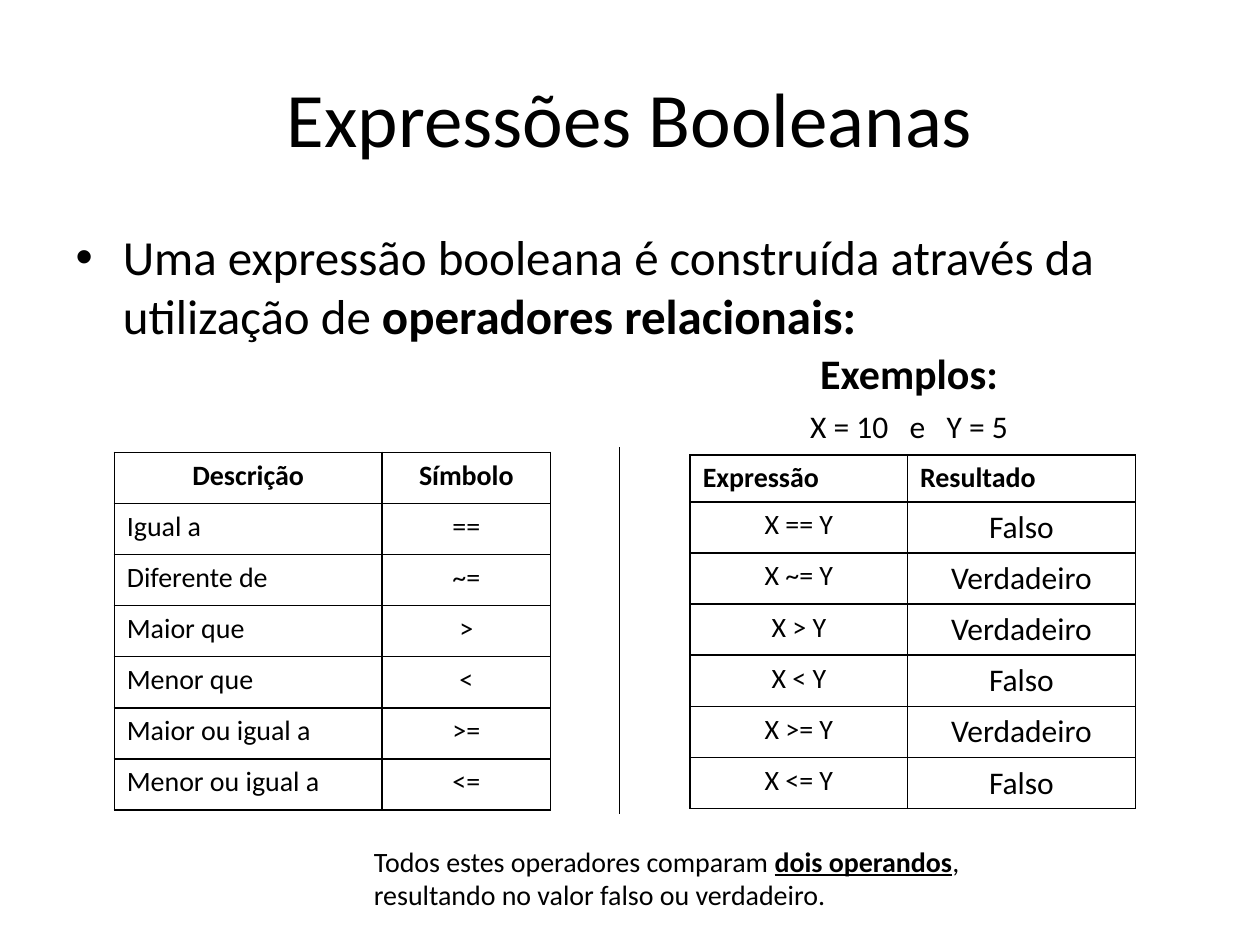
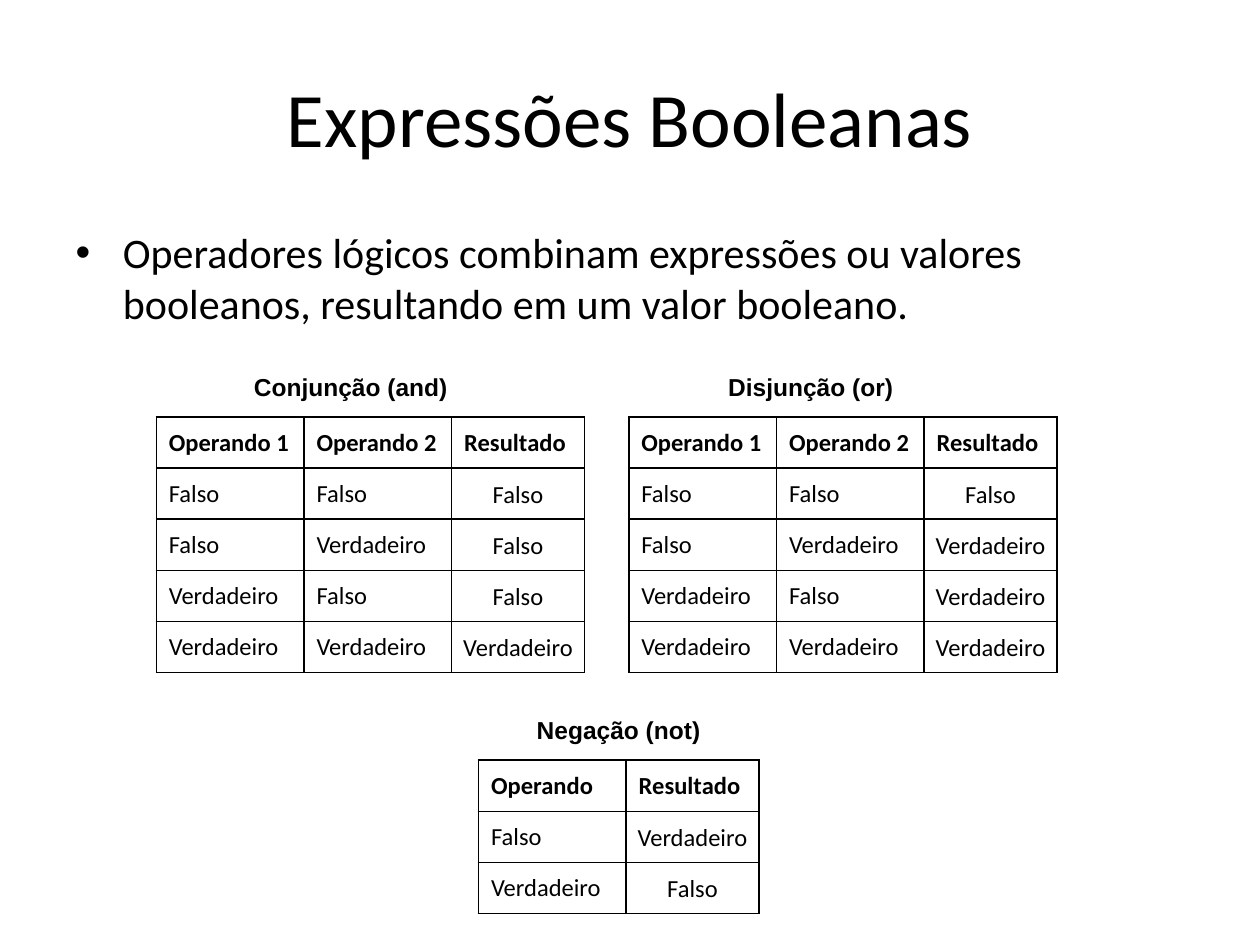
from dataclasses import dataclass, field
from itertools import product

from lxml import etree
from pptx import Presentation
from pptx.dml.color import RGBColor
from pptx.enum.shapes import MSO_CONNECTOR
from pptx.enum.text import MSO_ANCHOR, MSO_AUTO_SIZE, PP_ALIGN
from pptx.oxml.ns import qn
from pptx.util import Pt

LEFT, CENTER = PP_ALIGN.LEFT, PP_ALIGN.CENTER
TOP, MIDDLE = MSO_ANCHOR.TOP, MSO_ANCHOR.MIDDLE
NO_AUTOFIT = MSO_AUTO_SIZE.NONE
STRAIGHT = MSO_CONNECTOR.STRAIGHT

COLORS = {"ink": "000000"}
BODY_FONT, LABEL_FONT = "Calibri", "Arial"
TITLE = "Expressões Booleanas"
TITLE_AND_CONTENT = 1
ROW_HEIGHT = 29.2
LABEL_RISE = 29.5
INSET_X, INSET_Y = 14.4, 7.2
LINE_EMS = 1.22

FALSE, TRUE = "Falso", "Verdadeiro"
WORD_EMS = {FALSE: 2.08, TRUE: 4.53}
PAIRS = list(product((FALSE, TRUE), repeat=2))
OPERATORS = {
    "Igual a": "==",
    "Diferente de": "~=",
    "Maior que": ">",
    "Menor que": "<",
    "Maior ou igual a": ">=",
    "Menor ou igual a": "<=",
}


@dataclass
class Span:
    text: str
    size: float
    format: dict = field(default_factory=dict)
    font: str = BODY_FONT
    tracking: float = 0


@dataclass
class Line:
    spans: list[Span]
    align: PP_ALIGN | None = None
    space_before: float | None = None


@dataclass
class Grid:
    left: float
    top: float
    widths: list[float]
    header: list[str]
    rows: list[tuple[str, ...]]
    size: float
    aligns: list[PP_ALIGN]
    header_align: PP_ALIGN = LEFT
    anchor: MSO_ANCHOR = TOP
    header_height: float = ROW_HEIGHT


@dataclass
class TruthTable:
    label: str
    label_center: float
    label_width: float
    grid: Grid
    results: list[str]


def write(frame, lines: list[Line]) -> None:
    for index, line in enumerate(lines):
        paragraph = frame.add_paragraph() if index else frame.paragraphs[0]
        if line.align is not None:
            paragraph.alignment = line.align
        if line.space_before is not None:
            paragraph.space_before = Pt(line.space_before)
        for span in line.spans:
            run = paragraph.add_run()
            run.text = span.text
            settings = {"size": Pt(span.size), "name": span.font, **span.format}
            for attribute, value in settings.items():
                setattr(run.font, attribute, value)
            run.font.color.rgb = RGBColor.from_string(COLORS["ink"])
            if span.tracking:
                run.font._element.set("spc", str(round(span.tracking * 100)))


def add_text(slide, left: float, top: float, width: float, height: float,
             lines: list[Line], wrap: bool = True) -> None:
    box = slide.shapes.add_textbox(Pt(left), Pt(top), Pt(width), Pt(height))
    box.text_frame.word_wrap = wrap
    box.text_frame.auto_size = NO_AUTOFIT
    write(box.text_frame, lines)


def add_centered_word(slide, center: float, top: float, width: float, span: Span) -> None:
    height = span.size * LINE_EMS + INSET_Y
    add_text(slide, center - width / 2, top, width, height,
             [Line([span], CENTER)], wrap=False)


def add_borders(cell) -> None:
    properties = cell._tc.get_or_add_tcPr()
    for side in ("lnL", "lnR", "lnT", "lnB"):
        border = etree.SubElement(properties, qn(f"a:{side}"), w=str(Pt(1)))
        fill = etree.SubElement(border, qn("a:solidFill"))
        etree.SubElement(fill, qn("a:srgbClr"), val=COLORS["ink"])


def add_grid(slide, grid: Grid) -> None:
    """Draw a ruled table; cells missing at the end of a row stay empty."""
    heights = [grid.header_height] + [ROW_HEIGHT] * len(grid.rows)
    table = slide.shapes.add_table(
        len(heights), len(grid.widths), Pt(grid.left), Pt(grid.top),
        Pt(sum(grid.widths)), Pt(sum(heights))).table
    table.first_row = table.horz_banding = False
    for column, width in zip(table.columns, grid.widths):
        column.width = Pt(width)
    for row, height in zip(table.rows, heights):
        row.height = Pt(height)
    for cell in table.iter_cells():
        add_borders(cell)
        cell.fill.background()
        cell.vertical_anchor = grid.anchor
    for r, words in enumerate([grid.header, *grid.rows]):
        for c, word in enumerate(words):
            align = grid.aligns[c] if r else grid.header_align
            span = Span(word, grid.size, {"bold": r == 0})
            write(table.cell(r, c).text_frame, [Line([span], align)])


def add_results(slide, grid: Grid, results: list[str], size: float, drop: float) -> None:
    """Set each result over the last column of its row."""
    center = grid.left + sum(grid.widths) - grid.widths[-1] / 2
    first = grid.top + grid.header_height + drop
    for index, word in enumerate(results):
        add_centered_word(slide, center, first + index * ROW_HEIGHT,
                          WORD_EMS[word] * size + INSET_X, Span(word, size))


def add_truth_table(slide, truth: TruthTable) -> None:
    add_centered_word(slide, truth.label_center, truth.grid.top - LABEL_RISE,
                      truth.label_width,
                      Span(truth.label, 14, {"bold": True}, LABEL_FONT))
    add_grid(slide, truth.grid)
    add_results(slide, truth.grid, truth.results, 14, 2.5)


def add_divider(slide, x: float, top: float, bottom: float) -> None:
    divider = slide.shapes.add_connector(STRAIGHT, Pt(x), Pt(top), Pt(x), Pt(bottom))
    divider.line.color.rgb = RGBColor.from_string(COLORS["ink"])
    divider.line.width = Pt(0.75)
    etree.SubElement(divider._element.spPr, qn("a:effectLst"))


def add_topic_slide(deck, statement: list[Span]):
    slide = deck.slides.add_slide(deck.slide_layouts[TITLE_AND_CONTENT])
    title, body = slide.placeholders
    for holder, top, height in ((title, 21.6, 90), (body, 126, 356.4)):
        holder.left, holder.top = Pt(36), Pt(top)
        holder.width, holder.height = Pt(648), Pt(height)
    title.text_frame.vertical_anchor = MIDDLE
    write(title.text_frame, [Line([Span(TITLE, 44)], CENTER)])
    write(body.text_frame, [Line(statement)])
    return slide


def build_relational(deck) -> None:
    slide = add_topic_slide(deck, [
        Span("Uma expressão booleana é construída através da utilização de ", 28),
        Span("operadores relacionais:", 28, {"bold": True}),
    ])
    add_grid(slide, Grid(65.3, 258.5, [153, 96.4], ["Descrição", "Símbolo"],
                         list(OPERATORS.items()), 16, [LEFT, CENTER], CENTER))
    examples = Grid(394.4, 260, [124.2, 130.2], ["Expressão", "Resultado"],
                    [(f"X {symbol} Y",) for symbol in OPERATORS.values()],
                    16, [CENTER], header_height=26.7)
    add_grid(slide, examples)
    add_divider(slide, 354.2, 255.6, 465.1)
    gap = Span(" ", 18, tracking=8.1)
    add_text(slide, 440.6, 195.1, 157.7, 63.4, [
        Line([Span("Exemplos:", 24, {"bold": True})], CENTER),
        Line([Span("X = 10", 18), gap, Span("e", 18), gap, Span("Y = 5", 18)],
             CENTER, space_before=4.9),
    ])
    add_text(slide, 206.6, 478.8, 351.4, 46, [Line([
        Span("Todos estes operadores comparam ", 16),
        Span("dois operandos", 16, {"bold": True, "underline": True}),
        Span(", resultando no valor falso ou verdadeiro.", 16),
    ])])
    add_results(slide, examples, [FALSE, TRUE, TRUE, FALSE, TRUE, FALSE], 18, -0.5)


def build_logical(deck) -> None:
    slide = add_topic_slide(deck, [Span(
        "Operadores lógicos combinam expressões ou valores booleanos, "
        "resultando em um valor booleano.", 24)])
    operand, result = 84.4, 75.8

    def binary(left: float) -> Grid:
        return Grid(left, 238.3, [operand, operand, result],
                    ["Operando 1", "Operando 2", "Resultado"],
                    PAIRS, 14, [LEFT, LEFT], anchor=MIDDLE)

    negation = Grid(273.4, 434.4, [operand, result], ["Operando", "Resultado"],
                    [(FALSE,), (TRUE,)], 14, [LEFT], anchor=MIDDLE)
    for truth in (
        TruthTable("Conjunção (and)", 200.5, 125.3, binary(89.3),
                   [FALSE, FALSE, FALSE, TRUE]),
        TruthTable("Disjunção (or)", 463.3, 109.4, binary(359.3),
                   [FALSE, TRUE, TRUE, TRUE]),
        TruthTable("Negação (not)", 353.5, 108, negation, [TRUE, FALSE]),
    ):
        add_truth_table(slide, truth)


def main() -> None:
    deck = Presentation()
    deck.slide_width, deck.slide_height = Pt(720), Pt(540)
    build_relational(deck)
    build_logical(deck)
    deck.save("out.pptx")


if __name__ == "__main__":
    main()
